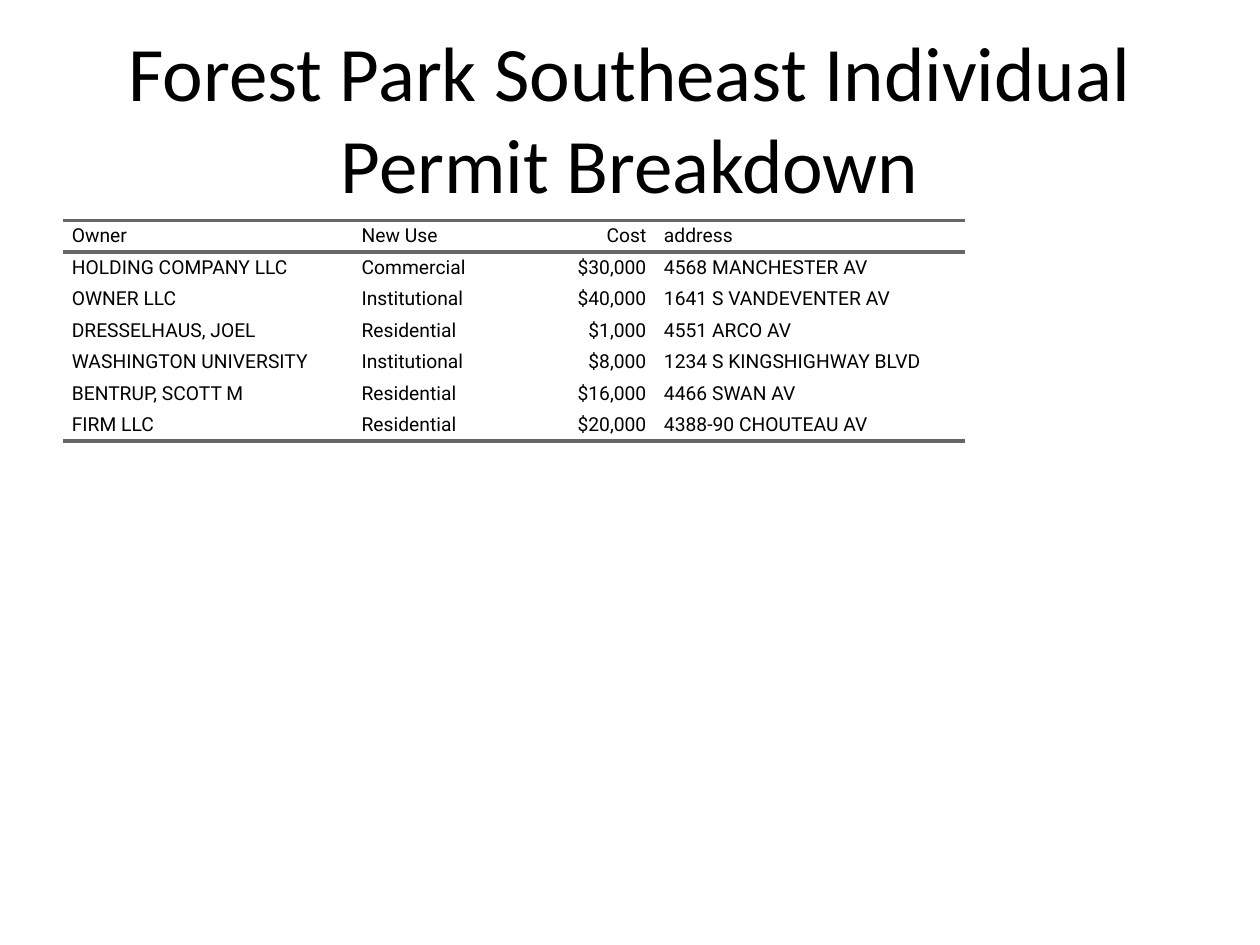
from dataclasses import dataclass

from lxml import etree
from pptx import Presentation, util as u
from pptx.dml.color import RGBColor
from pptx.enum import text
from pptx.oxml import ns

BLACK = RGBColor(0, 0, 0)
RULE = RGBColor(0x66, 0x66, 0x66)
WIDE, HIGH = u.Inches(10), u.Inches(7.5)
ROW = u.Inches(0.25)
PAD = u.Inches(0.07)
PLAIN = "{2D5ABB26-0587-4C30-8999-92F81FD0307C}"  # no style, no grid


@dataclass
class Column:
    head: str
    width: float  # inches
    align: text.PP_ALIGN = text.PP_ALIGN.LEFT


COLUMNS = [
    Column("Owner", 2.3),
    Column("New Use", 1.1),
    Column("Cost", 1.3, text.PP_ALIGN.RIGHT),
    Column("address", 2.46),
]
PERMITS = [
    ("HOLDING COMPANY LLC", "Commercial", "$30,000", "4568 MANCHESTER AV"),
    ("OWNER LLC", "Institutional", "$40,000", "1641 S VANDEVENTER AV"),
    ("DRESSELHAUS, JOEL", "Residential", "$1,000", "4551 ARCO AV"),
    ("WASHINGTON UNIVERSITY", "Institutional", "$8,000", "1234 S KINGSHIGHWAY BLVD"),
    ("BENTRUP, SCOTT M", "Residential", "$16,000", "4466 SWAN AV"),
    ("FIRM LLC", "Residential", "$20,000", "4388-90 CHOUTEAU AV"),
]


def style(para, face: str, size: float, align) -> None:
    para.alignment = align
    para.font.name = face
    para.font.size = u.Pt(size)
    para.font.bold = False
    para.font.color.rgb = BLACK


def add_title(slide, words: str) -> None:
    box = slide.shapes.add_textbox(
        int(WIDE * 0.05), int(HIGH * 0.04), int(WIDE * 0.9), int(HIGH / 6))
    frame = box.text_frame
    frame.word_wrap = True
    frame.vertical_anchor = text.MSO_ANCHOR.MIDDLE
    frame.text = words
    style(frame.paragraphs[0], "Calibri", 44, text.PP_ALIGN.CENTER)


def add_rules(cell, sides: list[str]) -> None:
    """Draw the named borders; lines come before the fill in the cell."""
    props = cell._tc.get_or_add_tcPr()
    for spot, side in enumerate(sides):
        line = etree.Element(ns.qn(f"a:ln{side}"), w=str(u.Pt(2)))
        fill = etree.SubElement(line, ns.qn("a:solidFill"))
        etree.SubElement(fill, ns.qn("a:srgbClr"), val=str(RULE))
        props.insert(spot, line)


def fill_cell(cell, words: str, align, sides: list[str]) -> None:
    cell.margin_left = cell.margin_right = PAD
    cell.margin_top = cell.margin_bottom = 0
    cell.vertical_anchor = text.MSO_ANCHOR.MIDDLE
    cell.text = words
    style(cell.text_frame.paragraphs[0], "Roboto", 11, align)
    cell.fill.background()
    add_rules(cell, sides)


def add_permits(slide) -> None:
    rows = [tuple(col.head for col in COLUMNS), *PERMITS]
    width = u.Inches(sum(col.width for col in COLUMNS))
    table = slide.shapes.add_table(
        len(rows), len(COLUMNS), int(WIDE * 0.05), u.Inches(1.75),
        width, ROW * len(rows)).table
    table.first_row = table.horz_banding = False
    table._tbl.tblPr.find(ns.qn("a:tableStyleId")).text = PLAIN
    for c, col in enumerate(COLUMNS):
        table.columns[c].width = u.Inches(col.width)
    # Rules frame the header and close the last row
    rules = {0: ["T", "B"], len(rows) - 1: ["B"]}
    for r, row in enumerate(rows):
        table.rows[r].height = ROW
        for c, (col, words) in enumerate(zip(COLUMNS, row)):
            fill_cell(table.cell(r, c), words, col.align, rules.get(r, []))


def main() -> None:
    deck = Presentation()
    deck.slide_width, deck.slide_height = WIDE, HIGH
    slide = deck.slides.add_slide(deck.slide_layouts[6])
    add_title(slide, "Forest Park Southeast Individual Permit Breakdown")
    add_permits(slide)
    deck.save("out.pptx")


if __name__ == "__main__":
    main()
